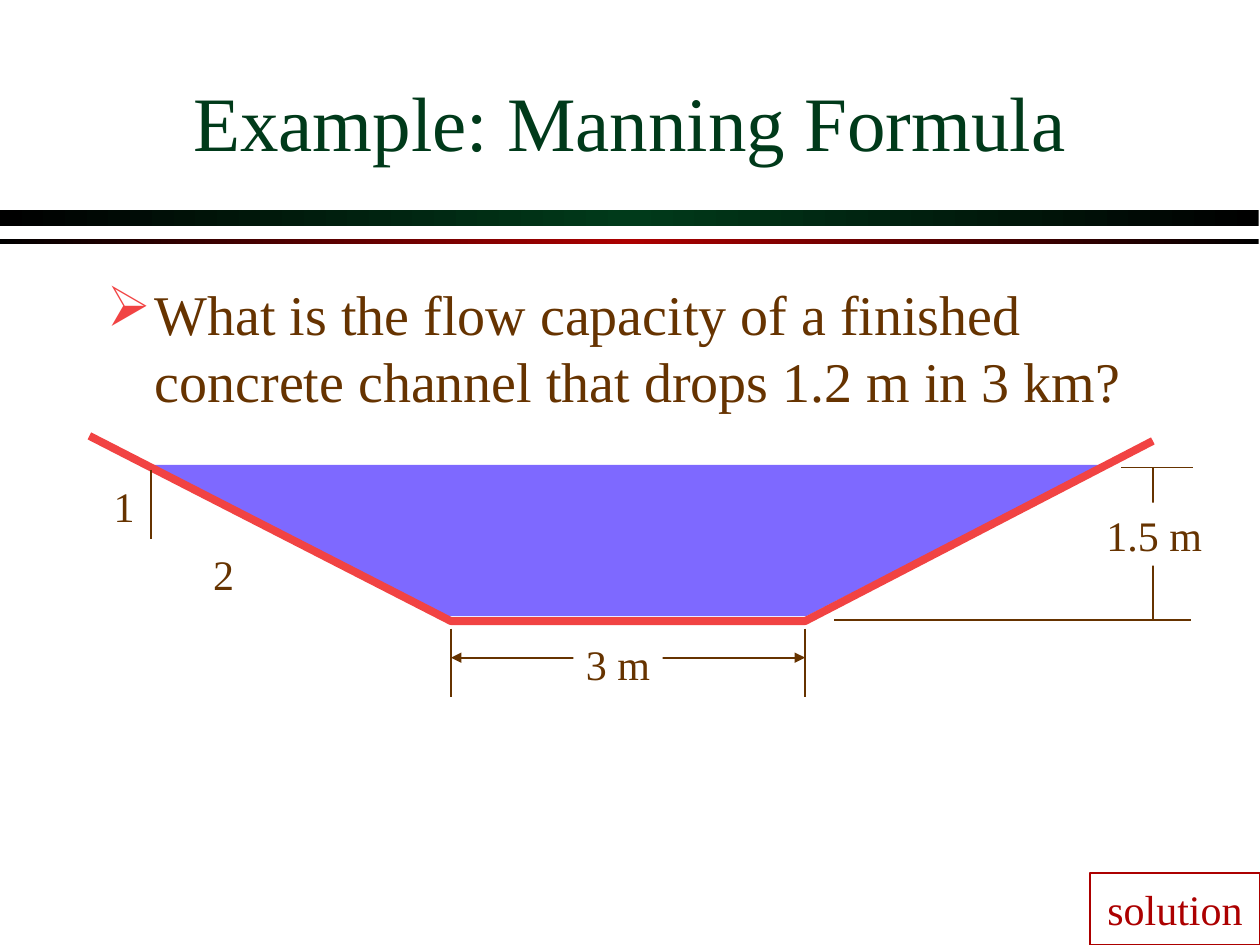
from copy import deepcopy
from dataclasses import dataclass

from lxml import etree
from pptx import Presentation
from pptx.dml.color import RGBColor
from pptx.enum import shapes, text
from pptx.oxml import ns
from pptx.util import Inches, Pt


@dataclass(frozen=True)
class Theme:
    font: str = "Times New Roman"
    title: str = "003A1A"
    ink: str = "663300"
    accent: str = "AC0000"
    wall: str = "F14343"
    water: str = "7E69FF"
    black: str = "000000"
    white: str = "FFFFFF"
    title_size: int = 44
    body_size: int = 32
    label_size: int = 24
    thin: float = 1
    thick: float = 4.5


T = Theme()


def rgb(value):
    return RGBColor.from_string(value)


def sub(parent, tag, **attrs):
    return etree.SubElement(parent, ns.qn(tag), attrs)


def write(sp, words, size, color, align=text.PP_ALIGN.CENTER, wrap=False):
    tf = sp.text_frame
    tf.word_wrap = wrap
    p = tf.paragraphs[0]
    p.alignment = align
    r = p.add_run()
    r.text = words
    p.font.name = T.font
    p.font.size = Pt(size)
    p.font.color.rgb = rgb(color)
    return p


def add_box(s, kind, x, y, w, h, fill=None, line=None):
    sp = s.shapes.add_shape(kind, Inches(x), Inches(y), Inches(w), Inches(h))
    sp.shadow.inherit = False
    if fill:
        sp.fill.solid()
        sp.fill.fore_color.rgb = rgb(fill)
    else:
        sp.fill.background()
    if line:
        sp.line.color.rgb = rgb(line)
        sp.line.width = Pt(T.thin)
    else:
        sp.line.fill.background()
    return sp


def add_label(s, words, x, y, w, h, fill=None):
    sp = add_box(s, shapes.MSO_SHAPE.RECTANGLE, x, y, w, h, fill)
    sp.text_frame.vertical_anchor = text.MSO_ANCHOR.MIDDLE
    write(sp, words, T.label_size, T.ink)


def add_line(s, x1, y1, x2, y2, arrows=False):
    c = s.shapes.add_connector(shapes.MSO_CONNECTOR.STRAIGHT,
                               Inches(x1), Inches(y1), Inches(x2), Inches(y2))
    c.line.color.rgb = rgb(T.ink)
    c.line.width = Pt(T.thin)
    if arrows:
        for end in ("a:headEnd", "a:tailEnd"):
            sub(c.line._get_or_add_ln(), end, type="triangle")
    sub(c._element.spPr, "a:effectLst")


def add_outline(s, points, closed):
    start, *rest = [(Inches(x), Inches(y)) for x, y in points]
    builder = s.shapes.build_freeform(*start)
    builder.add_line_segments(rest, close=closed)
    sp = builder.convert_to_shape()
    sp.shadow.inherit = False
    return sp


def add_rule(s, x, y, w, h, middle):
    sp = add_box(s, shapes.MSO_SHAPE.RECTANGLE, x, y, w, h)
    sp.fill.gradient()
    sp.fill.gradient_angle = 0
    stops = sp._element.spPr.find(ns.qn("a:gradFill")).find(ns.qn("a:gsLst"))
    stops.insert(1, deepcopy(stops[0]))
    colors = (T.black, middle, T.black)
    for stop, place, color in zip(sp.fill.gradient_stops, (0, 0.5, 1), colors):
        stop.position = place
        stop.color.rgb = rgb(color)


def add_title(s, x, y, w, h):
    sp = s.shapes.title
    sp.left, sp.top, sp.width, sp.height = map(Inches, (x, y, w, h))
    sp.text_frame.vertical_anchor = text.MSO_ANCHOR.MIDDLE
    p = write(sp, "Example: Manning Formula", T.title_size, T.title, wrap=True)
    effects = sub(p.runs[0].font._element, "a:effectLst")
    shadow = sub(effects, "a:outerShdw", dist="35921", dir="2700000")
    sub(shadow, "a:srgbClr", val=T.black)


def add_question(s, x, y, w, h):
    sp = s.shapes.add_textbox(Inches(x), Inches(y), Inches(w), Inches(h))
    pPr = sp.text_frame.paragraphs[0]._p.get_or_add_pPr()
    pPr.set("marL", str(Inches(0.38)))
    pPr.set("indent", str(-Inches(0.38)))
    sub(sub(pPr, "a:buClr"), "a:srgbClr", val=T.wall)
    sub(pPr, "a:buChar", char="➢")
    write(sp, "What is the flow capacity of a finished concrete channel "
              "that drops 1.2 m in 3 km?",
          T.body_size, T.ink, text.PP_ALIGN.LEFT, wrap=True)


def add_channel(s, x, y):
    left, right, bed = x + 2.87, x + 5.68, y + 1.47
    surface = y + 0.23
    water = add_outline(s, [(x + 0.47, surface), (x + 2.82, bed - 0.04),
                            (x + 5.69, bed - 0.04), (x + 8.03, surface)], True)
    water.fill.solid()
    water.fill.fore_color.rgb = rgb(T.water)
    water.line.fill.background()

    wall = add_outline(s, [(x, y), (left, bed), (right, bed),
                           (x + 8.44, y + 0.04)], False)
    wall.fill.background()
    wall.line.color.rgb = rgb(T.wall)
    wall.line.width = Pt(T.thick)

    add_label(s, "1", x + 0.09, y + 0.3, 0.37, 0.5)
    add_label(s, "2", x + 0.88, y + 0.84, 0.37, 0.5)
    add_line(s, x + 0.49, y + 0.27, x + 0.49, y + 0.82)

    for edge in (left, right):
        add_line(s, edge, bed + 0.06, edge, bed + 0.6)
    add_line(s, left, bed + 0.29, right, bed + 0.29, arrows=True)
    add_label(s, "3 m", x + 3.84, bed + 0.09, 0.71, 0.5, T.white)

    add_line(s, x + 8.19, y + 0.25, x + 8.76, y + 0.25)
    add_line(s, x + 5.91, bed - 0.01, x + 8.74, bed - 0.01)
    add_line(s, x + 8.44, y + 0.25, x + 8.44, bed)
    add_label(s, "1.5 m", x + 7.97, y + 0.53, 0.96, 0.5, T.white)


def add_solution(s, x, y, w, h):
    sp = add_box(s, shapes.MSO_SHAPE.ACTION_BUTTON_CUSTOM, x, y, w, h,
                 line=T.accent)
    sp.text_frame.vertical_anchor = text.MSO_ANCHOR.MIDDLE
    write(sp, "solution", T.label_size, T.accent)


def main():
    prs = Presentation()
    prs.slide_width, prs.slide_height = Inches(10), Inches(7.5)
    s = prs.slides.add_slide(prs.slide_layouts[5])
    add_rule(s, 0, 1.67, 9.99, 0.12, T.title)
    add_rule(s, 0, 1.9, 9.99, 0.04, T.accent)
    add_title(s, 0.75, 0.33, 8.5, 1.25)
    add_question(s, 0.75, 2.17, 8.5, 1.2)
    add_channel(s, 0.71, 3.46)
    add_solution(s, 8.65, 6.93, 1.35, 0.57)
    prs.save("out.pptx")


if __name__ == "__main__":
    main()
